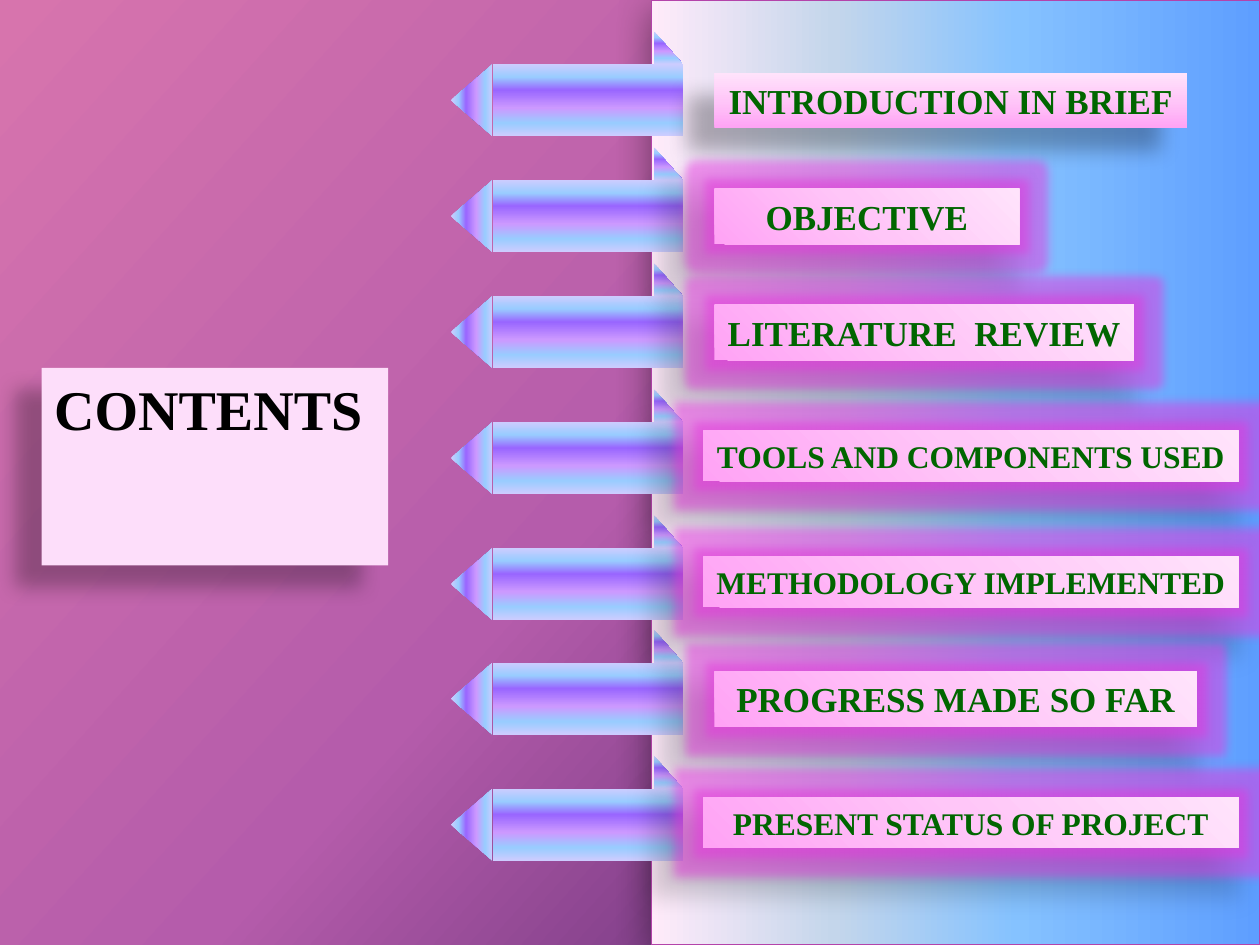
from lxml import etree
from pptx import Presentation
from pptx.dml.color import RGBColor
from pptx.enum.shapes import MSO_SHAPE
from pptx.enum.text import MSO_ANCHOR, MSO_AUTO_SIZE, PP_ALIGN
from pptx.oxml.ns import qn
from pptx.util import Inches, Pt

HEADING = "CONTENTS"
# wording, left, top, width, height, text size, gradient angle, glow
TOPICS = [
    ("INTRODUCTION IN BRIEF", 5.67, 0.58, 3.75, 0.44, 20, 270, False),
    ("OBJECTIVE", 5.67, 1.5, 2.42, 0.44, 20, 315, True),
    ("LITERATURE  REVIEW", 5.67, 2.42, 3.33, 0.44, 20, 315, True),
    ("TOOLS AND COMPONENTS USED", 5.58, 3.42, 4.25, 0.4, 18, 315, True),
    ("METHODOLOGY IMPLEMENTED", 5.58, 4.42, 4.25, 0.4, 18, 315, True),
    ("PROGRESS MADE SO FAR", 5.67, 5.33, 3.83, 0.44, 20, 315, True),
    ("PRESENT STATUS OF PROJECT", 5.58, 6.33, 4.25, 0.4, 18, 315, True),
]
# preset, left, offset from topic top, width, height, rotation
PENCIL_PARTS = [
    (MSO_SHAPE.RECTANGLE, 3.91, -0.07, 1.51, 0.57, 0),
    (MSO_SHAPE.ISOSCELES_TRIANGLE, 3.46, 0.05, 0.57, 0.33, 270),
    (MSO_SHAPE.ISOSCELES_TRIANGLE, 5.19, -0.33, 0.23, 0.26, 0),
]
FONT = "Times New Roman"
COLORS = {
    "heading": "000000", "heading fill": "FDDEFA", "topic": "006600",
    "panel line": "B443AA", "shadow": "000000", "glow": "E838E0",
}
GRADIENTS = {
    "background": [(0, "D774AD"), (50, "B55CAB"), (100, "3E1C5F")],
    "panel": [(0, "5E9EFF"), (40, "85C2FF"), (70, "C4D6EB"), (100, "FFEBFA")],
    "pencil": [(0, "CCCCFF"), (18, "99CCFF"), (36, "9966FF"),
               (61, "CC99FF"), (82, "99CCFF"), (100, "CCCCFF")],
    "topic": [(0, "FFA3F5"), (50, "FFC6F8"), (100, "FFE3FB")],
}
LABEL_SHADOW = (28, 11.8, 19.7, 141)
PANEL_SHADOW = (43, 22, 6, 90)


def color(name):
    return RGBColor.from_string(COLORS[name])


def add_color(parent, hex_color, alpha=None):
    clr = etree.SubElement(parent, qn("a:srgbClr"), val=hex_color)
    if alpha is not None:
        etree.SubElement(clr, qn("a:alpha"), val=str(alpha * 1000))


def set_gradient(fill, element, name, angle):
    """Fill with a named gradient; angle runs clockwise, element holds the fill."""
    fill.gradient()
    fill.gradient_angle = 360 - angle
    stops = next(element.iter(qn("a:gsLst")))
    for stop in list(stops):
        stops.remove(stop)
    for position, hex_color in GRADIENTS[name]:
        stop = etree.SubElement(stops, qn("a:gs"), pos=str(position * 1000))
        add_color(stop, hex_color)


def set_effects(shape, shadow, glow=False):
    """Give a shape a shadow (alpha, blur, distance, direction) and maybe a glow."""
    shape.shadow.inherit = False
    effects = next(shape._element.iter(qn("a:effectLst")))
    if glow:
        halo = etree.SubElement(effects, qn("a:glow"), rad=str(Pt(11)))
        add_color(halo, COLORS["glow"], 50)
    alpha, blur, distance, direction = shadow
    outer = etree.SubElement(
        effects, qn("a:outerShdw"), blurRad=str(Pt(blur)), dist=str(Pt(distance)),
        dir=str(direction * 60000), algn="ctr", rotWithShape="0")
    add_color(outer, COLORS["shadow"], alpha)


def add_plain(shapes, preset, left, top, width, height):
    shape = shapes.add_shape(preset, Inches(left), Inches(top), Inches(width), Inches(height))
    shape.line.fill.background()
    shape.shadow.inherit = False
    return shape


def write(shape, wording, size, color_name, align):
    frame = shape.text_frame
    frame.word_wrap = True
    frame.auto_size = MSO_AUTO_SIZE.SHAPE_TO_FIT_TEXT
    frame.vertical_anchor = MSO_ANCHOR.TOP
    paragraph = frame.paragraphs[0]
    paragraph.alignment = align
    run = paragraph.add_run()
    run.text = wording
    run.font.name = FONT
    run.font.size = Pt(size)
    run.font.bold = True
    run.font.color.rgb = color(color_name)


def add_panel(slide):
    panel = add_plain(slide.shapes, MSO_SHAPE.RECTANGLE, 5.17, 0, 4.83, 7.5)
    set_gradient(panel.fill, panel._element, "panel", 180)
    panel.line.color.rgb = color("panel line")
    panel.line.width = Pt(1)
    set_effects(panel, PANEL_SHADOW)


def add_heading(slide):
    heading = slide.shapes.title
    heading.left, heading.top = Inches(0.33), Inches(2.92)
    heading.width, heading.height = Inches(2.75), Inches(0.64)
    heading.fill.solid()
    heading.fill.fore_color.rgb = color("heading fill")
    set_effects(heading, LABEL_SHADOW)
    write(heading, HEADING, 32, "heading", PP_ALIGN.LEFT)


def add_pencil(slide, topic_top):
    pencil = slide.shapes.add_group_shape()
    for preset, left, offset, width, height, rotation in PENCIL_PARTS:
        part = add_plain(pencil.shapes, preset, left, topic_top + offset, width, height)
        part.rotation = rotation
        set_gradient(part.fill, part._element, "pencil", 90)
    fold = part
    fold.adjustments[0] = 0


def add_topic(slide, wording, left, top, width, height, size, angle, glow):
    topic = add_plain(slide.shapes, MSO_SHAPE.RECTANGLE, left, top, width, height)
    set_gradient(topic.fill, topic._element, "topic", angle)
    set_effects(topic, LABEL_SHADOW, glow)
    write(topic, wording, size, "topic", PP_ALIGN.CENTER)


def main():
    prs = Presentation()
    prs.slide_width, prs.slide_height = Inches(10), Inches(7.5)
    slide = prs.slides.add_slide(prs.slide_layouts[5])
    set_gradient(slide.background.fill, slide._element, "background", 42)
    add_panel(slide)
    add_heading(slide)
    for topic in TOPICS:
        add_pencil(slide, topic[2])
    for topic in TOPICS:
        add_topic(slide, *topic)
    prs.save("out.pptx")


if __name__ == "__main__":
    main()
